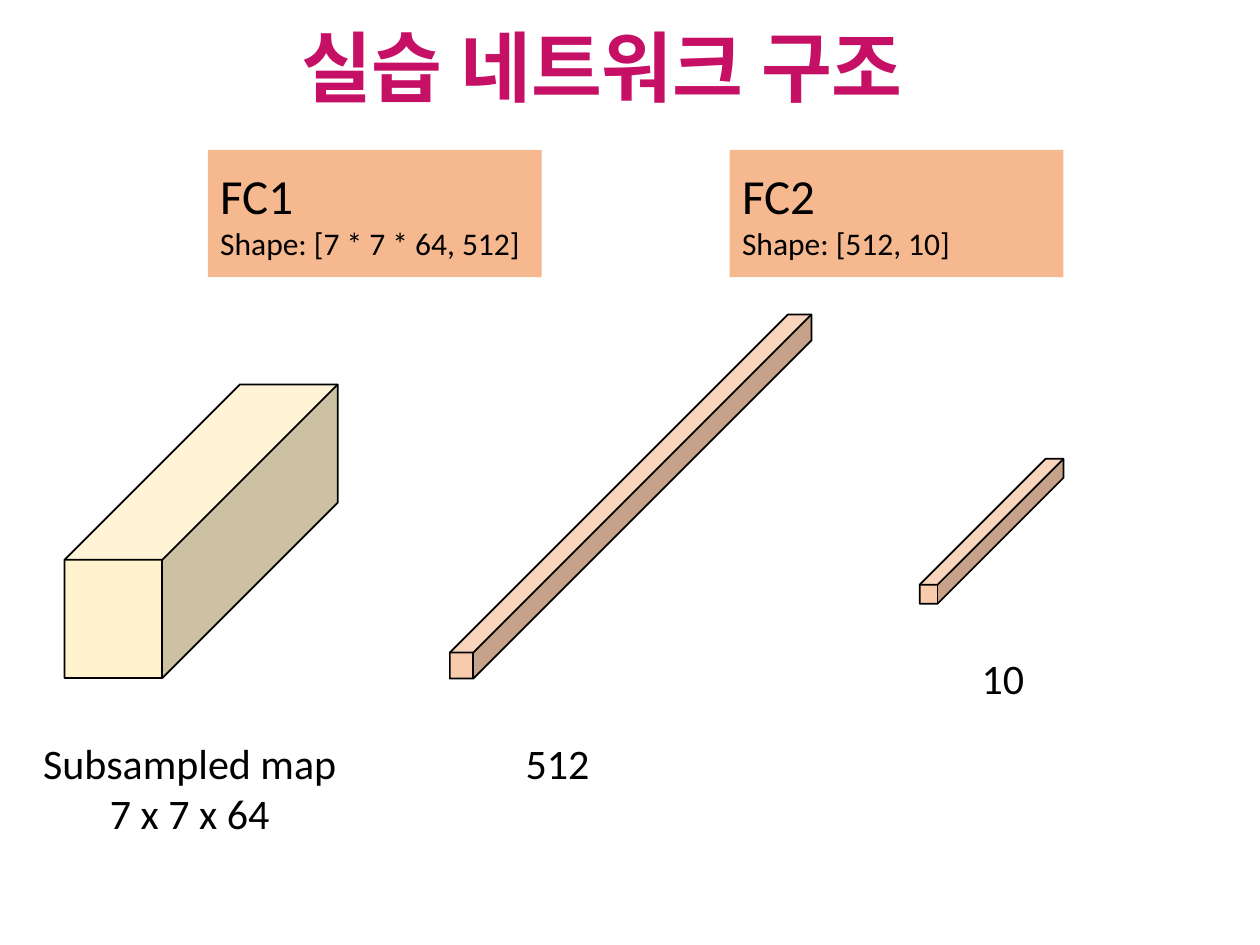
from collections import namedtuple

from pptx import Presentation
from pptx.dml.color import RGBColor
from pptx.enum.shapes import MSO_SHAPE
from pptx.enum.text import MSO_ANCHOR, MSO_AUTO_SIZE, PP_ALIGN
from pptx.util import Cm, Pt

CUBE, RECTANGLE = MSO_SHAPE.CUBE, MSO_SHAPE.RECTANGLE
LEFT, CENTER = PP_ALIGN.LEFT, PP_ALIGN.CENTER
MIDDLE = MSO_ANCHOR.MIDDLE
NO_AUTOFIT = MSO_AUTO_SIZE.NONE
TITLE_ONLY = 5
FONT = "Calibri"
COLORS = {
    "title": "C61065",
    "text": "000000",
    "outline": "000000",
    "map": "FFF2CC",
    "vector": "F8CBAD",
    "layer": "F5B88F",
}

# All lengths are centimetres.
Box = namedtuple("Box", "left top width height")


def rgb(name):
    return RGBColor.from_string(COLORS[name])


def lengths(box):
    return [Cm(value) for value in box]


def write_lines(frame, lines, alignment, color="text", bold=False):
    """Write (text, size) pairs, one paragraph each."""
    for index, (text, size) in enumerate(lines):
        paragraph = frame.add_paragraph() if index else frame.paragraphs[0]
        paragraph.alignment = alignment
        run = paragraph.add_run()
        run.text = text
        run.font.name = FONT
        run.font.size = Pt(size)
        run.font.bold = bold
        run.font.color.rgb = rgb(color)


def clear_margins(frame):
    frame.margin_left = frame.margin_right = 0
    frame.margin_top = frame.margin_bottom = 0


def add_filled_shape(slide, kind, box, color):
    shape = slide.shapes.add_shape(kind, *lengths(box))
    shape.shadow.inherit = False
    shape.fill.solid()
    shape.fill.fore_color.rgb = rgb(color)
    return shape


def place_title(slide, box, text):
    title = slide.shapes.title
    title.left, title.top, title.width, title.height = lengths(box)
    frame = title.text_frame
    clear_margins(frame)
    frame.word_wrap = False
    frame.auto_size = NO_AUTOFIT
    frame.vertical_anchor = MIDDLE
    write_lines(frame, [(text, 44)], LEFT, "title", bold=True)


def add_layer_card(slide, box, name, weights):
    card = add_filled_shape(slide, RECTANGLE, box, "layer")
    card.line.fill.background()
    frame = card.text_frame
    frame.word_wrap = True
    frame.vertical_anchor = MIDDLE
    write_lines(frame, [(name, 28), (f"Shape: {weights}", 18)], LEFT)


def add_tensor(slide, box, depth, color, caption, caption_box):
    """Draw a cube; caption_box is offset from the cube's lower left corner."""
    cube = add_filled_shape(slide, CUBE, box, color)
    cube.adjustments[0] = depth
    cube.line.color.rgb = rgb("outline")
    cube.line.width = Pt(1)

    label_box = caption_box._replace(
        left=box.left + caption_box.left,
        top=box.top + box.height + caption_box.top,
    )
    label = slide.shapes.add_textbox(*lengths(label_box))
    frame = label.text_frame
    clear_margins(frame)
    frame.word_wrap = False
    write_lines(frame, [(line, 24) for line in caption], CENTER)


def main():
    presentation = Presentation()
    presentation.slide_width = Cm(25.4)
    presentation.slide_height = Cm(19.05)
    slide = presentation.slides.add_slide(presentation.slide_layouts[TITLE_ONLY])

    place_title(slide, Box(6.07, 0.38, 13.26, 1.88), "실습 네트워크 구조")

    layers = [(4.19, "FC1", "[7 * 7 * 64, 512]"), (14.71, "FC2", "[512, 10]")]
    for left, name, weights in layers:
        add_layer_card(slide, Box(left, 3.02, 6.73, 2.57), name, weights)

    tensors = [
        (Box(1.3, 7.75, 5.51, 5.92), 0.642, "map",
         ["Subsampled map", "7 x 7 x 64"], Box(-0.46, 1.19, 5.97, 2.06)),
        (Box(9.07, 6.34, 7.29, 7.34), 0.935, "vector",
         ["512"], Box(1.52, 1.18, 1.3, 1.02)),
        (Box(18.54, 9.25, 2.9, 2.92), 0.875, "vector",
         ["10"], Box(1.25, 0.99, 0.86, 1.02)),
    ]
    for tensor in tensors:
        add_tensor(slide, *tensor)

    presentation.save("out.pptx")


if __name__ == "__main__":
    main()
